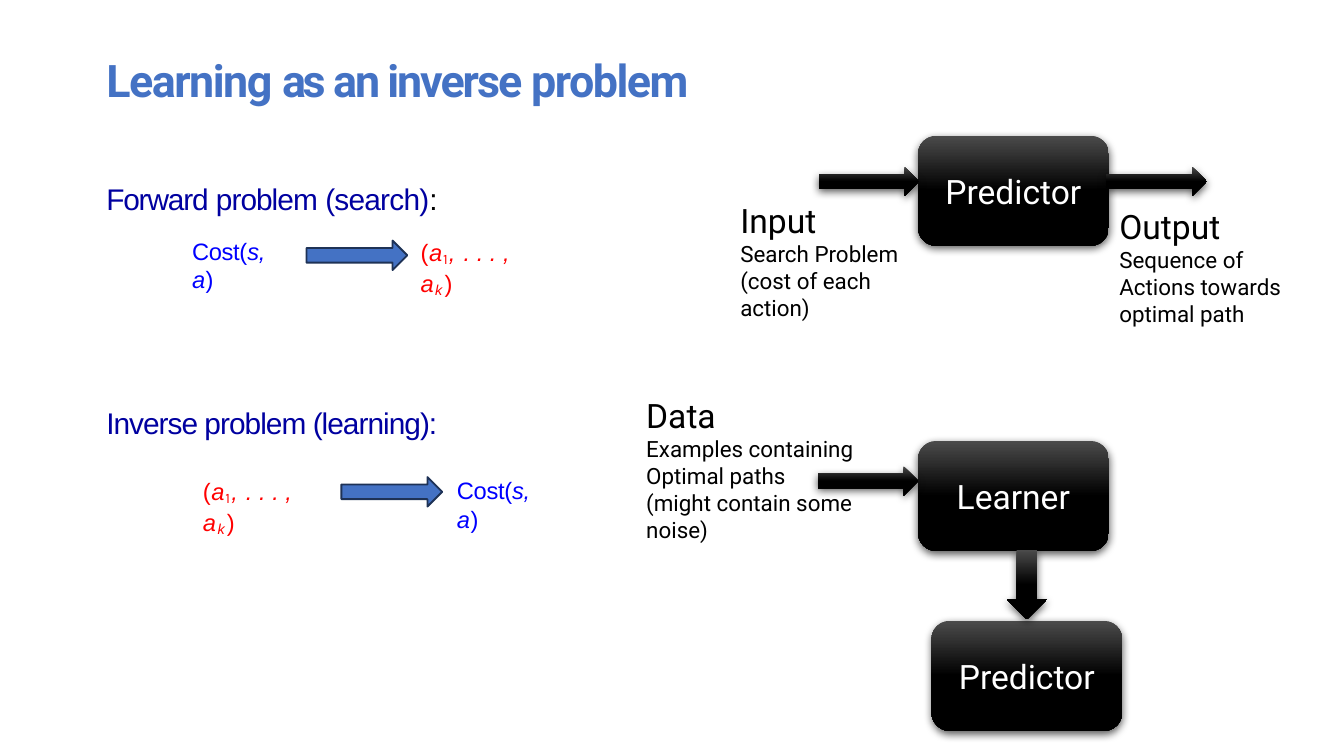
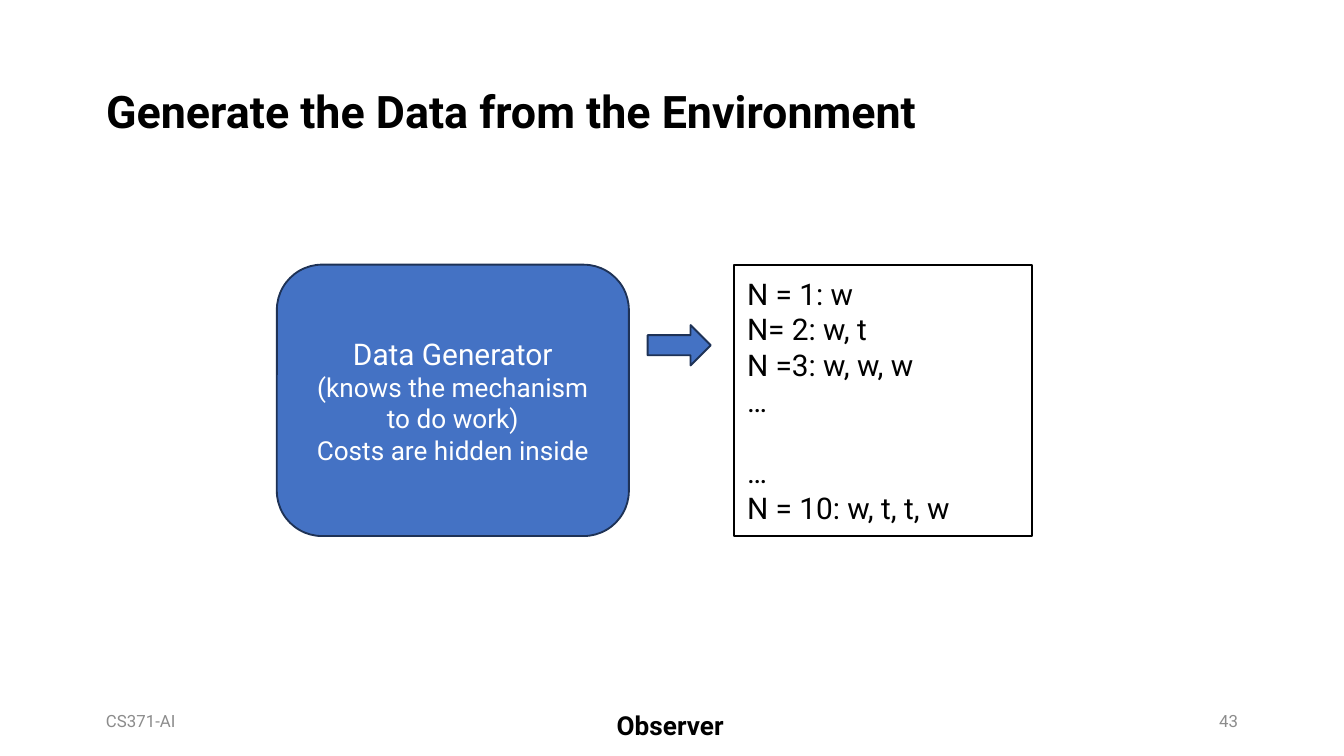
from lxml.etree import SubElement
from pptx import Presentation
from pptx.dml.color import RGBColor
from pptx.enum.shapes import MSO_SHAPE as Preset
from pptx.enum.text import MSO_ANCHOR as Anchor, MSO_AUTO_SIZE as AutoSize, PP_ALIGN as Align
from pptx.oxml.ns import qn
from pptx.util import Pt

BODY_FONT, FORMULA_FONT, INDEX_FONT = "Roboto", "Arial", "Karla"
BLACK, WHITE, GREY = "000000", "FFFFFF", "8C8C8C"
BLUE, BLUE_EDGE, GLOSS = "4472C4", "1E3256", "4B4B4B"
HEADING, COST_COLOR, ACTION_COLOR = "0000A0", "0000FF", "FF0000"

NORMAL_INSETS = (7.2, 3.6, 7.2, 3.6)
TIGHT_INSETS = (0.72, 0.72, 0, 0)
STAGE_SIZE = (102.2, 59)
ARROW_SIZE = (54, 15.8)

COST = [[("Cost(", {"spacing": -0.2}), ("s, ", {"italic": True, "spacing": -0.2}),
         ("a", {"italic": True, "spacing": 0.2}), (")", {"spacing": 0.2})]]
ACTIONS = [[("(", {"spacing": 0.4}), ("a", {"italic": True, "spacing": 0.4}),
            ("1", {"font": INDEX_FONT, "size": 13.3, "spacing": 0.6, "baseline": -13}),
            (", ", {"italic": True, "spacing": 0.4}), (". . . , ", {"italic": True}),
            ("a", {"italic": True, "spacing": 0.8}),
            ("k", {"italic": True, "size": 13.3, "spacing": 1.2, "baseline": -13}),
            (")", {"spacing": 0.8})]]


def rgb(value):
    return RGBColor.from_string(value)


def points(*values):
    return [Pt(value) for value in values]


def format_run(run, font=BODY_FONT, size=18, color=BLACK, bold=False, italic=False,
               spacing=0, baseline=0):
    run.font.name = font
    run.font.size = Pt(size)
    run.font.bold = bold
    run.font.italic = italic
    run.font.color.rgb = rgb(color)
    properties = run._r.get_or_add_rPr()
    if spacing:
        properties.set("spc", str(round(spacing * 100)))
    if baseline:
        properties.set("baseline", str(baseline * 1000))


def write(frame, lines, align=Align.LEFT, anchor=Anchor.TOP, insets=NORMAL_INSETS,
          grow=False, line_spacing=None, **style):
    frame.word_wrap = True
    frame.auto_size = AutoSize.SHAPE_TO_FIT_TEXT if grow else AutoSize.NONE
    frame.vertical_anchor = anchor
    (frame.margin_left, frame.margin_top,
     frame.margin_right, frame.margin_bottom) = points(*insets)
    for index, line in enumerate(lines):
        paragraph = frame.add_paragraph() if index else frame.paragraphs[0]
        paragraph.alignment = align
        if line_spacing:
            paragraph.line_spacing = line_spacing
        for text, changes in [(line, {})] if isinstance(line, str) else line:
            run = paragraph.add_run()
            run.text = text
            format_run(run, **{**style, **changes})


def add_title(slide, runs, box, color, **layout):
    title = slide.shapes.title
    title.left, title.top, title.width, title.height = points(*box)
    write(title.text_frame, [runs], anchor=Anchor.MIDDLE, size=24, bold=True,
          color=color, **layout)


def add_label(slide, lines, box, **style):
    frame = slide.shapes.add_textbox(*points(*box)).text_frame
    write(frame, lines, **style)


def add_formula(slide, lines, left, top, width, height=15.8, size=12.7, **style):
    add_label(slide, lines, (left, top, width, height), insets=TIGHT_INSETS,
              grow=True, font=FORMULA_FONT, size=size, **style)


def add_caption(slide, heading, details, box):
    lines = [heading] + [[(detail, {"size": 12})] for detail in details]
    add_label(slide, lines, box, grow=True)


def add_flat(slide, preset, box, fill=BLUE, edge=BLUE_EDGE):
    shape = slide.shapes.add_shape(preset, *points(*box))
    shape.shadow.inherit = False
    shape.fill.solid()
    shape.fill.fore_color.rgb = rgb(fill)
    shape.line.color.rgb = rgb(edge)
    shape.line.width = Pt(1)
    return shape


def add_glossy(slide, preset, box):
    shape = slide.shapes.add_shape(preset, *points(*box))
    shape.line.fill.background()
    shape.fill.gradient()
    shape.fill.gradient_angle = 270
    for stop, color, position in zip(shape.fill.gradient_stops, (GLOSS, BLACK), (0, 0.5)):
        stop.color.rgb = rgb(color)
        stop.position = position
    shape.shadow.inherit = False
    effects = shape._element.spPr.find(qn("a:effectLst"))
    shadow = SubElement(effects, qn("a:outerShdw"), blurRad=str(Pt(4.5)),
                        dist=str(Pt(1.5)), dir="5400000", rotWithShape="0")
    tint = SubElement(shadow, qn("a:srgbClr"), val=BLACK)
    SubElement(tint, qn("a:alpha"), val="63000")
    return shape


def add_stage(slide, name, left, top):
    stage = add_glossy(slide, Preset.ROUNDED_RECTANGLE, (left, top, *STAGE_SIZE))
    write(stage.text_frame, [name], align=Align.CENTER, anchor=Anchor.MIDDLE, color=WHITE)


def add_flow(slide, left, top):
    add_glossy(slide, Preset.RIGHT_ARROW, (left, top, *ARROW_SIZE))


def build_inverse_problem(slide):
    add_title(slide, [("Learning ", {"spacing": -0.8}), ("as ", {"spacing": -1.9}),
                      ("an inverse ", {"spacing": -1.1}), ("problem", {"spacing": -0.8})],
              (56.2, 27.4, 419.8, 29.5), BLUE, insets=TIGHT_INSETS, grow=True)

    forward = [("Forward ", {"spacing": -0.6}), ("problem ", {"spacing": -0.5}),
               ("(search)", {"spacing": -0.4}), (":", {"color": BLACK, "spacing": -0.4})]
    inverse = [("Inverse problem (learning):", {"spacing": -0.5})]
    for heading, top in ((forward, 95.8), (inverse, 216)):
        add_formula(slide, [heading], 56.2, top, 186.5, 20.2, size=16, color=HEADING)
    for cost_left, actions_left, top in ((102.2, 224.6, 126), (244.1, 108, 254.2)):
        add_formula(slide, COST, cost_left, top, 54, color=COST_COLOR)
        add_formula(slide, ACTIONS, actions_left, top, 67, color=ACTION_COLOR)
    for left, top in ((164.2, 128.9), (182.9, 255.6)):
        add_flat(slide, Preset.RIGHT_ARROW, (left, top, *ARROW_SIZE))

    add_stage(slide, "Predictor", 491.8, 72.7)
    add_flow(slide, 438.5, 89.3)
    add_caption(slide, "Input", ["Search Problem", "(cost of each action)"],
                (389.5, 103.7, 121.7, 58.3))
    add_flow(slide, 592.6, 89.3)
    add_caption(slide, "Output", ["Sequence of", "Actions towards", "optimal path"],
                (592.6, 106.6, 103, 72.7))

    add_stage(slide, "Learner", 491.8, 236.2)
    add_flow(slide, 438, 249.8)
    add_caption(slide, "Data",
                ["Examples containing", "Optimal paths", "(might contain some noise)"],
                (339.1, 208.1, 159.8, 72.7))
    add_stage(slide, "Predictor", 499, 332.6)
    add_glossy(slide, Preset.DOWN_ARROW, (539.3, 294.5, 21.6, 37.4))


def build_data_generation(slide):
    add_title(slide, [("Generate the Data from the Environment", {})],
              (49.7, 21.6, 620.6, 78.5), BLACK, line_spacing=0.9)

    for text, left, align in (("CS371-AI", 49.7, Align.LEFT), ("43", 508.3, Align.RIGHT)):
        add_label(slide, [text], (left, 375.1, 162, 21.6), align=align,
                  anchor=Anchor.MIDDLE, size=9, color=GREY)

    generator = add_flat(slide, Preset.ROUNDED_RECTANGLE, (148.3, 141.8, 188.6, 145.4))
    write(generator.text_frame,
          [[("Data Generator", {"size": 16})], "(knows the mechanism to do work)",
           "Costs are hidden inside"],
          align=Align.CENTER, anchor=Anchor.MIDDLE, size=14, color=WHITE)

    samples = add_flat(slide, Preset.RECTANGLE, (393.1, 141.8, 159.8, 145.4), WHITE, BLACK)
    write(samples.text_frame,
          ["N = 1: w", "N= 2: w, t", "N =3: w, w, w", "…", "…", "N = 10: w, t, t, w"],
          anchor=Anchor.MIDDLE, size=16)
    samples.text_frame.paragraphs[4].space_before = Pt(19)

    add_flat(slide, Preset.RIGHT_ARROW, (347, 174.2, 33.8, 21.6))
    add_label(slide, ["Observer"], (323.3, 376.6, 74.9, 24.5), grow=True, size=14, bold=True)


def main():
    deck = Presentation()
    deck.slide_width, deck.slide_height = points(720, 405)
    title_only = deck.slide_layouts[5]
    for build in (build_inverse_problem, build_data_generation):
        build(deck.slides.add_slide(title_only))
    deck.save("out.pptx")


if __name__ == "__main__":
    main()
